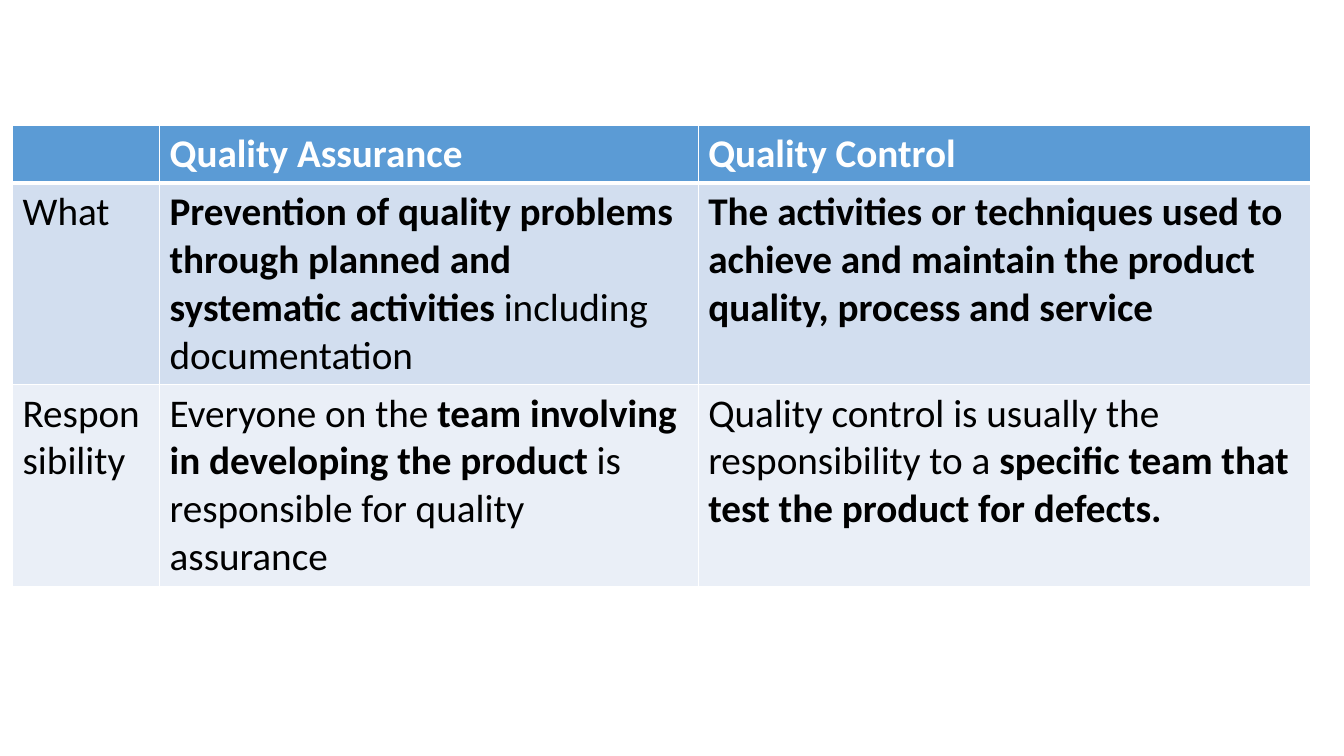
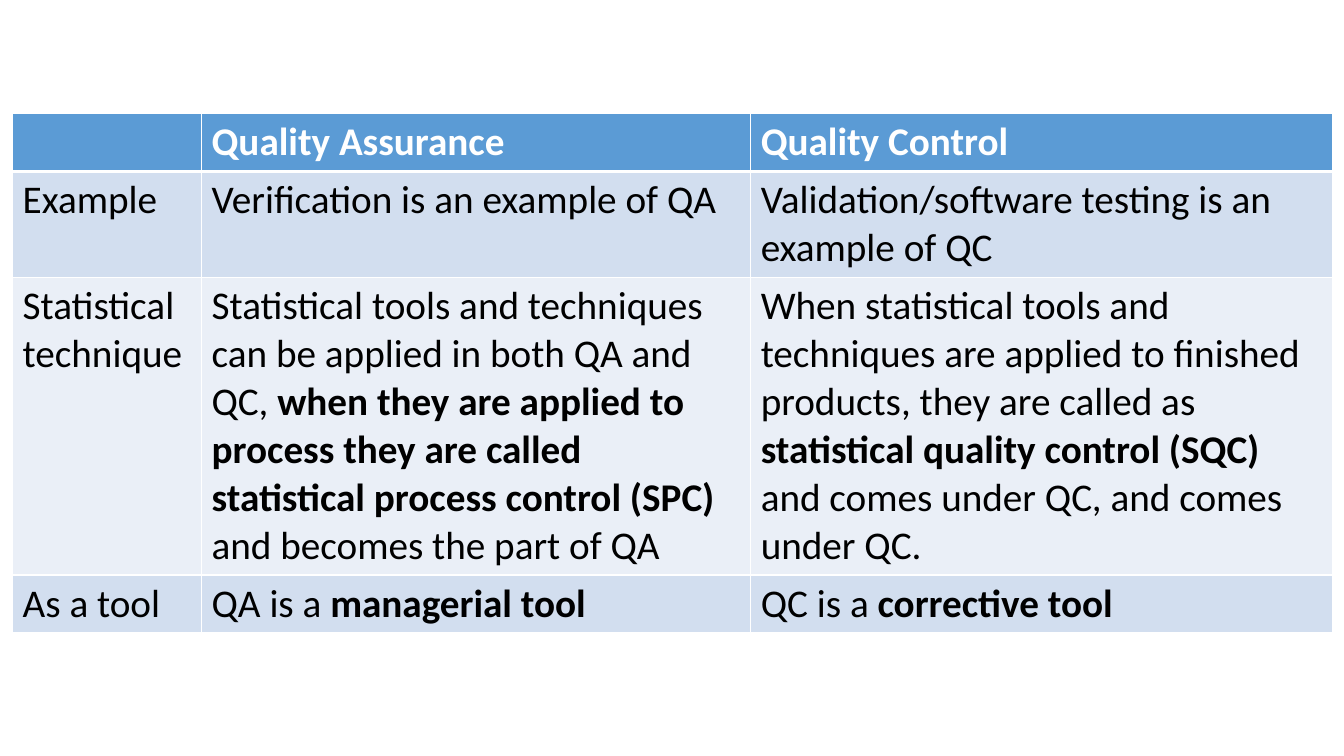
from lxml.etree import SubElement
from pptx import Presentation
from pptx.dml.color import RGBColor
from pptx.oxml.ns import qn
from pptx.util import Pt

PX = 9525
FONT, TEXT_SIZE = "Calibri", Pt(28)
WHITE, BLACK, HEADER_BLUE = "FFFFFF", "000000", "5B9BD5"
BANDS = ["D2DEEF", "EAEFF7"]
HEADER = ["", "*Quality Assurance*", "*Quality Control*"]


def color(value):
    return RGBColor.from_string(value)


def set_borders(cell, top, bottom):
    properties = cell._tc.get_or_add_tcPr()
    sides = [("a:lnL", 1), ("a:lnR", 1), ("a:lnT", top), ("a:lnB", bottom)]
    for position, (side, width) in enumerate(sides):
        line = SubElement(properties, qn(side), w=str(Pt(width)))
        SubElement(SubElement(line, qn("a:solidFill")), qn("a:srgbClr"), val=WHITE)
        properties.insert(position, line)


comparisons = [
    {
        "corner": (12, 119),
        "columns": [140, 513, 583],
        "heights": [55, 192, 192],
        "rows": [
            ["What",
             "*Prevention of quality problems through planned and systematic activities *"
             "including documentation",
             "*The activities or techniques used to achieve and maintain the product "
             "quality, process and service*"],
            ["Responsibility",
             "Everyone on the *team involving in developing the product* is responsible "
             "for quality assurance",
             "Quality control is usually the responsibility to a *specific team that test "
             "the product for defects.*"],
        ],
    },
    {
        "corner": (12, 108),
        "columns": [180, 523, 554],
        "heights": [55, 101, 283, 55],
        "rows": [
            ["Example",
             "Verification is an example of QA",
             "Validation/software testing is an example of QC"],
            ["Statistical technique",
             "Statistical tools and techniques can be applied in both QA and QC, *when they "
             "are applied to process they are called statistical process control (SPC)* and "
             "becomes the part of QA",
             "When statistical tools and techniques are applied to finished products, they "
             "are called as *statistical quality control (SQC) *and comes under QC, and "
             "comes under QC."],
            ["As a tool", "QA is a *managerial tool*", "QC is a *corrective tool*"],
        ],
    },
]

deck = Presentation()
deck.slide_width, deck.slide_height = 1280 * PX, 720 * PX
blank_layout = deck.slide_layouts[6]

for comparison in comparisons:
    slide = deck.slides.add_slide(blank_layout)
    rows = [HEADER] + comparison["rows"]
    columns, heights = comparison["columns"], comparison["heights"]
    left, top = comparison["corner"]
    table = slide.shapes.add_table(
        len(rows), len(columns), left * PX, top * PX, sum(columns) * PX, sum(heights) * PX
    ).table
    for column, width in zip(table.columns, columns):
        column.width = width * PX
    for row_index, (row, height) in enumerate(zip(rows, heights)):
        table.rows[row_index].height = height * PX
        is_header = row_index == 0
        fill = HEADER_BLUE if is_header else BANDS[(row_index - 1) % 2]
        for column_index, wording in enumerate(row):
            cell = table.cell(row_index, column_index)
            cell.fill.solid()
            cell.fill.fore_color.rgb = color(fill)
            set_borders(cell, 3 if row_index == 1 else 1, 3 if is_header else 1)
            paragraph = cell.text_frame.paragraphs[0]
            for part_index, part in enumerate(wording.split("*")):
                if part:
                    run = paragraph.add_run()
                    run.text = part
                    run.font.name, run.font.size = FONT, TEXT_SIZE
                    run.font.bold = part_index % 2 == 1
                    run.font.color.rgb = color(WHITE if is_header else BLACK)

deck.save("out.pptx")
